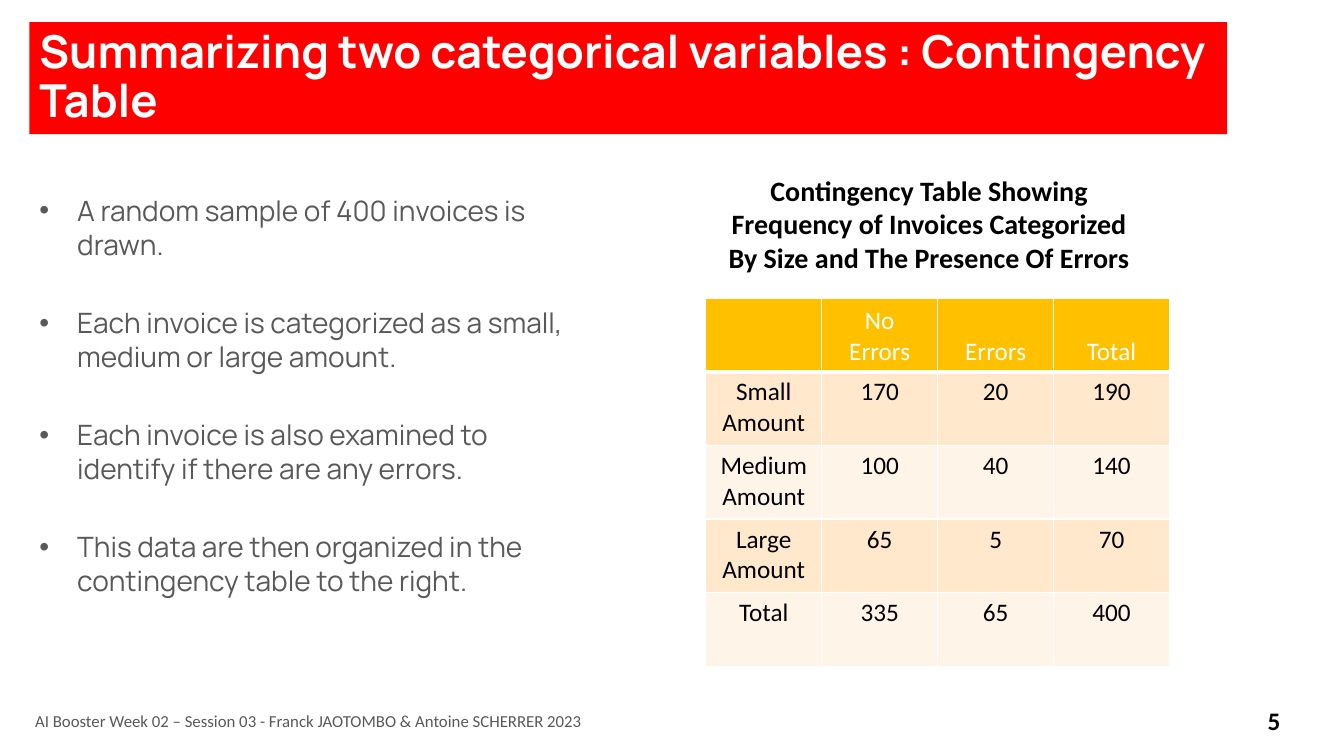
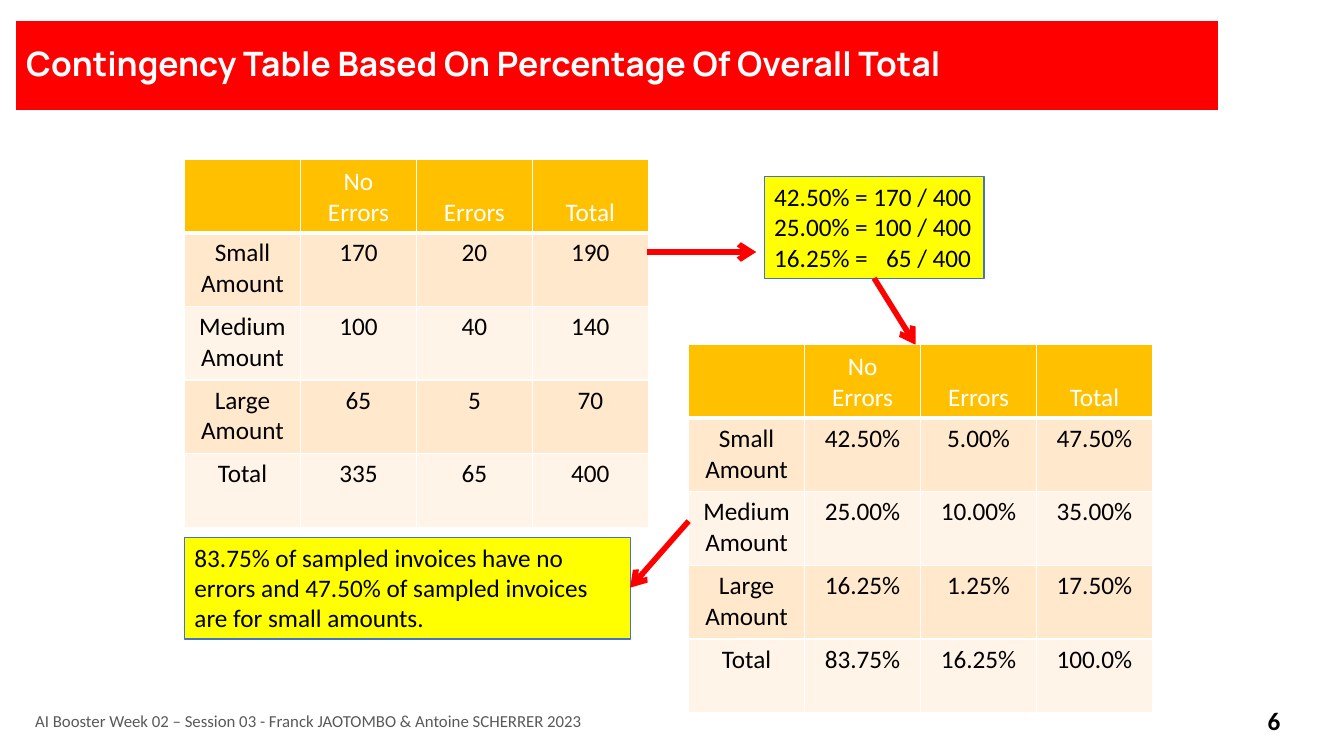
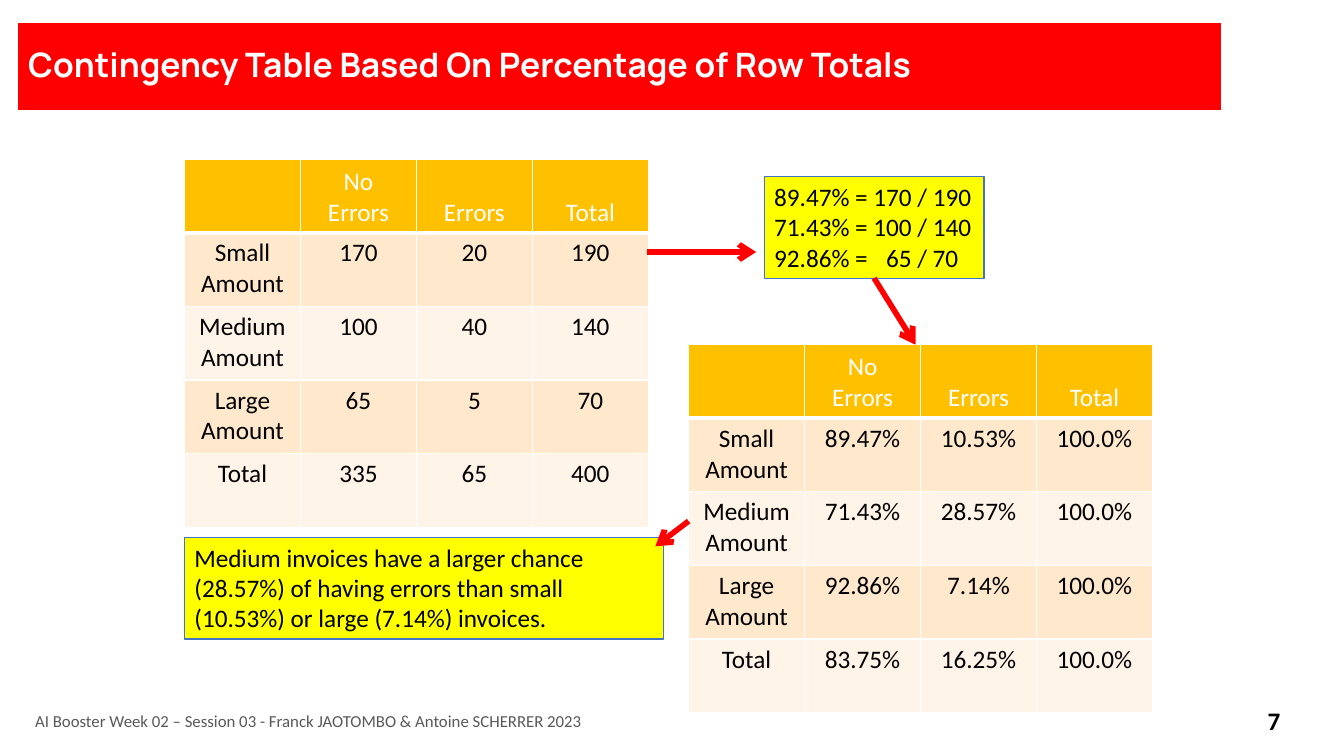
import pptx
import pptx.util
import pptx.dml.color
import pptx.enum.shapes
import pptx.enum.text
from pptx.oxml.ns import qn
from lxml import etree

ALIGN = pptx.enum.text.PP_ALIGN
ANCHOR = pptx.enum.text.MSO_ANCHOR
SHAPE = pptx.enum.shapes.MSO_SHAPE
LINE = pptx.enum.shapes.MSO_CONNECTOR
inch = pptx.util.Inches

# Shared look
RED, GOLD, YELLOW, BLUE = "FF0000", "FFC000", "FFFF00", "4472C4"
WHITE, BLACK, GREY = "FFFFFF", "000000", "595959"
BANDS = ["FFE8CC", "FFF4E7"]
TITLE = {"name": "Manrope", "bold": True, "color": WHITE}
BODY = {"name": "Manrope", "size": 20, "color": GREY}
PLAIN = {"name": "Calibri", "size": 18, "color": BLACK}
HEAD = {**PLAIN, "color": WHITE}
BOLD = {**PLAIN, "bold": True}
LABEL = {**BOLD, "size": 20}
FOOT = {**PLAIN, "size": 12, "color": GREY}
COL, ROW = 1.15, 0.73

# Content
FOOTER = "AI Booster Week 02 – Session 03 - Franck JAOTOMBO & Antoine SCHERRER 2023"
TOP = ["", "No\nErrors", "Errors", "Total"]
SIDE = ["Small\nAmount", "Medium\nAmount", "Large\nAmount", "Total"]
COUNTS = ["170 20 190", "100 40 140", "65 5 70", "335 65 400"]
POINTS = [
    "A random sample of 400 invoices is drawn.",
    "Each invoice is categorized as a small, medium or large amount.",
    "Each invoice is also examined to identify if there are any errors.",
    "This data are then organized in the contingency table to the right.",
]
CAPTION = ("Contingency Table Showing\nFrequency of Invoices Categorized\n"
           "By Size and The Presence Of Errors")
INTRO = {
    "title": "Summarizing two categorical variables : Contingency Table",
    "band": (0.29, 0.22, 11.88, 1.11), "size": 32.4, "page": 5,
}
SHARES = [
    {
        "title": "Contingency Table Based On Percentage Of Overall Total",
        "band": (0.16, 0.21, 11.92, 0.88), "size": 24, "page": 6,
        "sums": "42.50% = 170 / 400\n25.00% = 100 / 400\n16.25% =\t65 / 400",
        "rows": ["42.50% 5.00% 47.50%", "25.00% 10.00% 35.00%",
                 "16.25% 1.25% 17.50%", "83.75% 16.25% 100.0%"],
        "note": "83.75% of sampled invoices have no errors and 47.50% "
                "of sampled invoices are for small amounts.",
        "wide": 4.42, "tip": (6.25, 5.83),
    },
    {
        "title": "Contingency Table Based On Percentage of Row Totals",
        "band": (0.18, 0.23, 11.93, 0.86), "size": 24, "page": 7,
        "sums": "89.47% = 170 / 190\n71.43% = 100 / 140\n92.86% =\t65 / 70",
        "rows": ["89.47% 10.53% 100.0%", "71.43% 28.57% 100.0%",
                 "92.86% 7.14% 100.0%", "83.75% 16.25% 100.0%"],
        "note": "Medium invoices have a larger chance (28.57%) of having "
                "errors than small (10.53%) or large (7.14%) invoices.",
        "wide": 4.75, "tip": (6.5, 5.42),
    },
]


def rgb(code):
    return pptx.dml.color.RGBColor.from_string(code)


def paint(part, code):
    part.fill.solid()
    part.fill.fore_color.rgb = rgb(code)


def write(frame, text, look, align=ALIGN.LEFT, **para):
    """Fill a text frame; each line of text is a paragraph."""
    frame.text = text
    for p in frame.paragraphs:
        p.alignment = align
        for key, value in para.items():
            setattr(p, key, value)
        for run in p.runs:
            for key, value in look.items():
                if key == "color":
                    run.font.color.rgb = rgb(value)
                else:
                    setattr(run.font, key, pptx.util.Pt(value) if key == "size" else value)


def place(shape, box):
    for key, value in zip(("left", "top", "width", "height"), box):
        setattr(shape, key, inch(value))


def label(slide, box, text, look, align=ALIGN.LEFT, anchor=ANCHOR.MIDDLE):
    frame = slide.shapes.add_textbox(*map(inch, box)).text_frame
    frame.word_wrap = True
    frame.vertical_anchor = anchor
    write(frame, text, look, align)


def start(deck, layout, data):
    """Add a slide with the red title band, footer and page number."""
    slide = deck.slides.add_slide(deck.slide_layouts[layout])
    title = slide.shapes.title
    place(title, data["band"])
    paint(title, RED)
    frame = title.text_frame
    frame.auto_size = pptx.enum.text.MSO_AUTO_SIZE.NONE
    frame.vertical_anchor = ANCHOR.MIDDLE
    write(frame, data["title"], {**TITLE, "size": data["size"]}, line_spacing=0.9)
    label(slide, (0.25, 6.95, 9.4, 0.4), FOOTER, FOOT)
    label(slide, (12.22, 6.95, 0.83, 0.4), str(data["page"]), BOLD, ALIGN.CENTER)
    return slide


def border(cell, base):
    for side in "LRTB":
        width = pptx.util.Pt(base if side == "B" else 1)
        edge = etree.SubElement(cell._tc.get_or_add_tcPr(), qn("a:ln" + side), w=str(width))
        fill = etree.SubElement(edge, qn("a:solidFill"))
        etree.SubElement(fill, qn("a:srgbClr"), val=WHITE)


def grid(slide, left, top, rows):
    """Draw a contingency table from rows of space-separated values."""
    data = [TOP] + [[name] + row.split() for name, row in zip(SIDE, rows)]
    high, wide = len(data), len(TOP)
    table = slide.shapes.add_table(
        high, wide, *map(inch, (left, top, wide * COL, high * ROW))).table
    for r, row in enumerate(data):
        for c, text in enumerate(row):
            cell = table.cell(r, c)
            border(cell, 1 if r else 3)
            paint(cell, BANDS[(r - 1) % 2] if r else GOLD)
            cell.vertical_anchor = ANCHOR.TOP if r else ANCHOR.BOTTOM
            write(cell.text_frame, text, PLAIN if r else HEAD, ALIGN.CENTER)


def callout(slide, box, text):
    shape = slide.shapes.add_shape(SHAPE.RECTANGLE, *map(inch, box))
    shape.shadow.inherit = False
    paint(shape, YELLOW)
    shape.line.color.rgb = rgb(BLUE)
    shape.line.width = pptx.util.Pt(0.75)
    frame = shape.text_frame
    frame.word_wrap = True
    frame.vertical_anchor = ANCHOR.TOP
    write(frame, text, PLAIN)
    # A tab stop lines up the shorter count
    for p in frame.paragraphs:
        if "\t" in p.text:
            tabs = etree.SubElement(p._p.get_or_add_pPr(), qn("a:tabLst"))
            etree.SubElement(tabs, qn("a:tab"), pos=str(inch(1.11)), algn="l")


def arrow(slide, tail, tip):
    line = slide.shapes.add_connector(LINE.STRAIGHT, *map(inch, tail + tip))
    line.line.color.rgb = rgb(RED)
    line.line.width = pptx.util.Pt(4)
    etree.SubElement(line.line._get_or_add_ln(), qn("a:tailEnd"), type="arrow")
    etree.SubElement(line._element.spPr, qn("a:effectLst"))


def intro(deck):
    slide = start(deck, 1, INTRO)
    body = slide.placeholders[1]
    place(body, (0.29, 1.87, 5.59, 4.29))
    frame = body.text_frame
    frame.auto_size = pptx.enum.text.MSO_AUTO_SIZE.NONE
    write(frame, "\n".join(POINTS), BODY, space_before=pptx.util.Pt(32))
    frame.paragraphs[0].space_before = pptx.util.Pt(0)
    grid(slide, 7, 2.96, COUNTS)
    label(slide, (6.38, 1.67, 5.67, 1.11), CAPTION, LABEL, ALIGN.CENTER, ANCHOR.TOP)


def share(deck, data):
    slide = start(deck, 5, data)
    grid(slide, 1.83, 1.58, COUNTS)
    grid(slide, 6.83, 3.42, data["rows"])
    callout(slide, (7.58, 1.75, 2.18, 1.01), data["sums"])
    callout(slide, (1.83, 5.33, data["wide"], 1.01), data["note"])
    for tail, tip in [((6.42, 2.5), (7.5, 2.5)),
                      ((8.67, 2.76), (9.08, 3.42)),
                      ((6.83, 5.17), data["tip"])]:
        arrow(slide, tail, tip)


def main():
    deck = pptx.Presentation()
    deck.slide_width, deck.slide_height = inch(13.33), inch(7.5)
    intro(deck)
    for data in SHARES:
        share(deck, data)
    deck.save("out.pptx")


if __name__ == "__main__":
    main()
